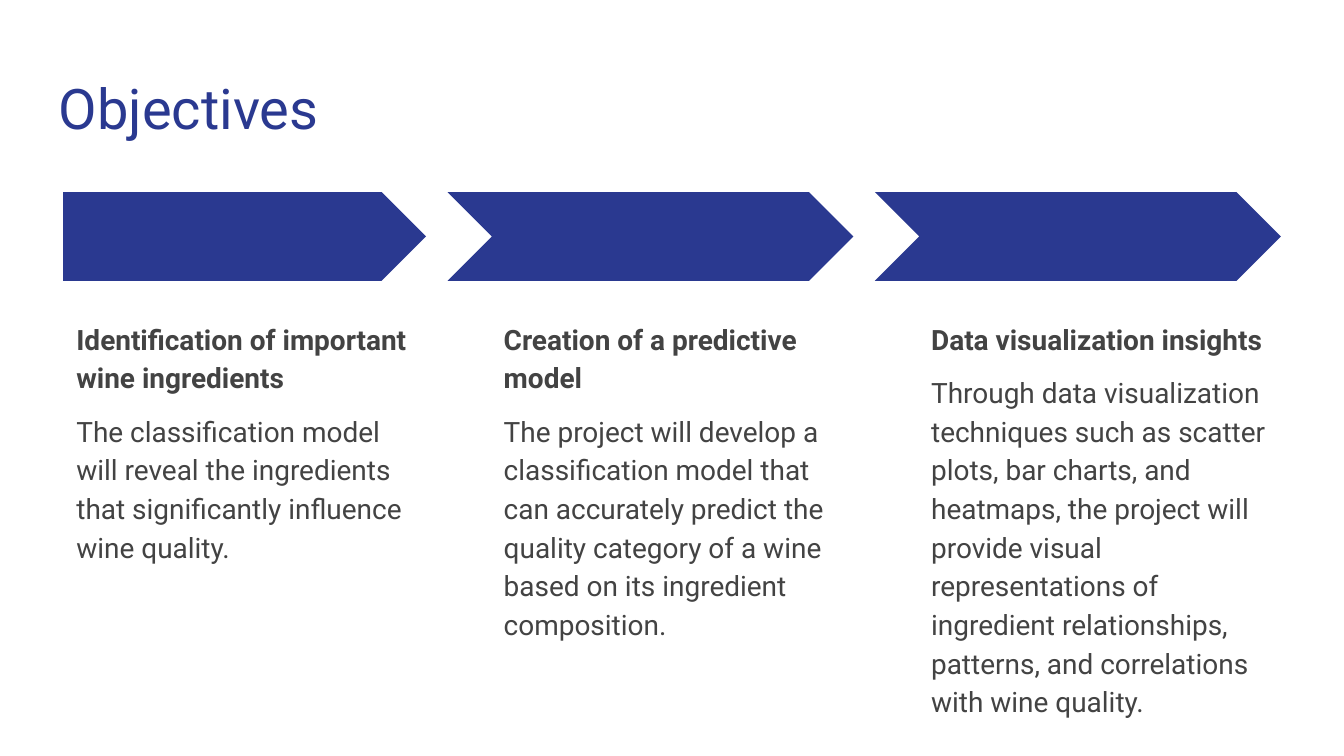
from pptx import Presentation
from pptx.dml.color import RGBColor
from pptx.enum.shapes import MSO_SHAPE
from pptx.enum.text import MSO_ANCHOR
from pptx.util import Inches, Pt

FONT = "Roboto"
BLUE = "2A3990"
GRAY = "434343"

COLUMN_LEFT, COLUMN_WIDTH, COLUMN_PITCH = 0.47, 2.7, 3.18
ARROW_TOP, ARROW_HEIGHT = 1.43, 0.66
CHEVRON_OVERHANG = 0.32  # how far a chevron's tail reaches left of its column
TEXT_OFFSET, TEXT_HEIGHT = 0.83, 2.9

OBJECTIVES = [
    ("Identification of important wine ingredients",
     "The classification model will reveal the ingredients that "
     "significantly influence wine quality."),
    ("Creation of a predictive model",
     "The project will develop a classification model that can accurately "
     "predict the quality category of a wine based on its ingredient "
     "composition."),
    ("Data visualization insights",
     "Through data visualization techniques such as scatter plots, bar "
     "charts, and heatmaps, the project will provide visual representations "
     "of ingredient relationships, patterns, and correlations with wine "
     "quality."),
]


def color(hex_value):
    return RGBColor.from_string(hex_value)


def add_text_frame(slide, left, top, width, height):
    box = slide.shapes.add_textbox(Inches(left), Inches(top),
                                   Inches(width), Inches(height))
    frame = box.text_frame
    frame.word_wrap = True
    frame.vertical_anchor = MSO_ANCHOR.TOP
    frame.margin_left = frame.margin_right = Inches(0.1)
    frame.margin_top = frame.margin_bottom = Inches(0.1)
    return frame


def add_run(paragraph, text, size, hex_value, bold=False):
    run = paragraph.add_run()
    run.text = text
    run.font.name = FONT
    run.font.size = Pt(size)
    run.font.bold = bold
    run.font.color.rgb = color(hex_value)


def add_title(slide, left, top, width, height):
    frame = add_text_frame(slide, left, top, width, height)
    add_run(frame.paragraphs[0], "Objectives", 30, BLUE)


def add_objective(slide, left, top, width, heading, body, is_first):
    # Arrow: the first has a flat tail, the others a notched one
    overhang = 0 if is_first else CHEVRON_OVERHANG
    preset = MSO_SHAPE.PENTAGON if is_first else MSO_SHAPE.CHEVRON
    arrow = slide.shapes.add_shape(
        preset, Inches(left - overhang), Inches(top),
        Inches(width + overhang), Inches(ARROW_HEIGHT))
    arrow.adjustments[0] = 0.5
    arrow.shadow.inherit = False
    arrow.fill.solid()
    arrow.fill.fore_color.rgb = color(BLUE)
    arrow.line.fill.background()

    # Heading and description
    frame = add_text_frame(slide, left, top + TEXT_OFFSET, width, TEXT_HEIGHT)
    heading_paragraph = frame.paragraphs[0]
    heading_paragraph.line_spacing = 1.15
    add_run(heading_paragraph, heading, 15, GRAY, bold=True)
    body_paragraph = frame.add_paragraph()
    body_paragraph.line_spacing = 1.15
    body_paragraph.space_before = body_paragraph.space_after = Pt(8)
    add_run(body_paragraph, body, 15, GRAY)


def main():
    # Widescreen slide, 16:9
    presentation = Presentation()
    presentation.slide_width = Inches(10)
    presentation.slide_height = Inches(10) * 9 // 16
    slide = presentation.slides.add_slide(presentation.slide_layouts[6])

    add_title(slide, 0.34, 0.45, 9.32, 0.66)
    for index, (heading, body) in enumerate(OBJECTIVES):
        add_objective(slide, COLUMN_LEFT + index * COLUMN_PITCH, ARROW_TOP,
                      COLUMN_WIDTH, heading, body, index == 0)

    presentation.save("out.pptx")


if __name__ == "__main__":
    main()
